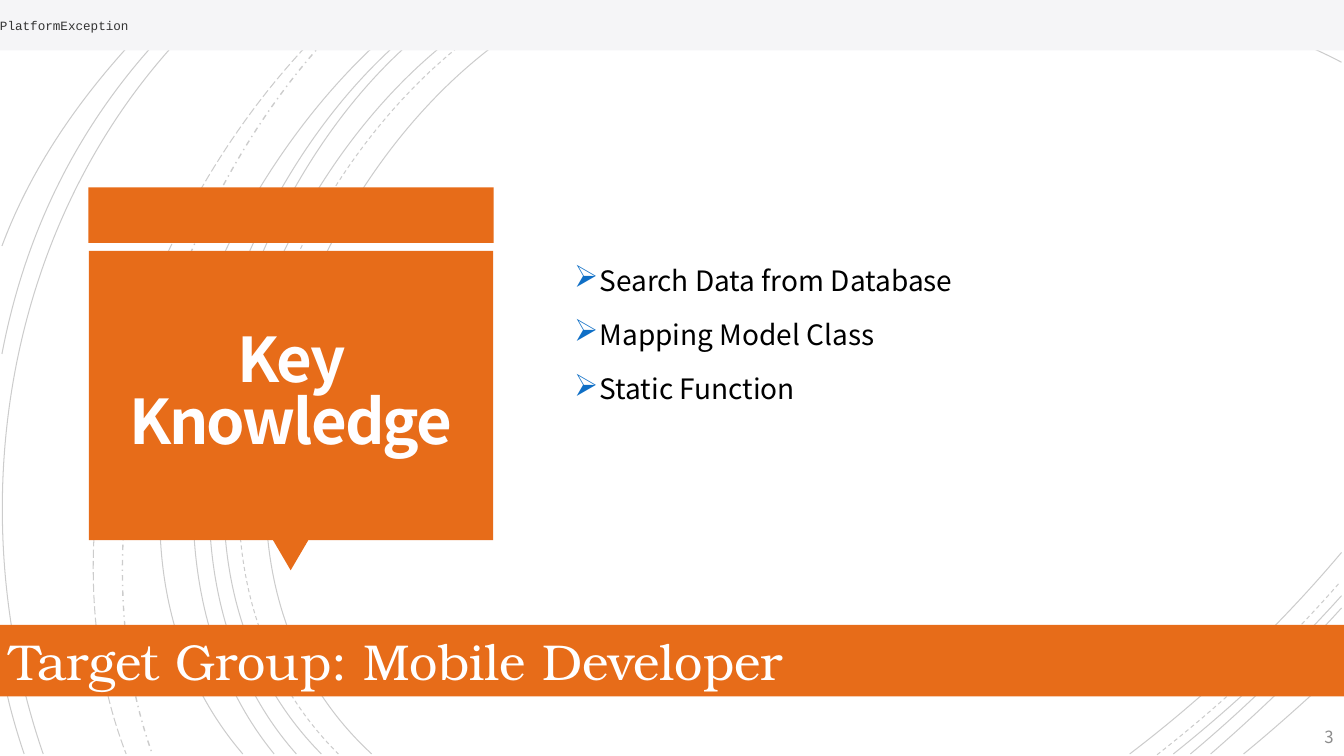
from lxml.etree import SubElement
from pptx import Presentation
from pptx.dml.color import RGBColor
from pptx.enum.dml import MSO_LINE as DASH
from pptx.enum.shapes import MSO_SHAPE as SHAPE
from pptx.enum.text import MSO_ANCHOR as ANCHOR, MSO_AUTO_SIZE as AUTO, PP_ALIGN as ALIGN
from pptx.oxml.ns import qn
from pptx.util import Cm, Pt

COLORS = {"orange": "E76C19", "band": "F5F5F7", "black": "000000", "white": "FFFFFF",
          "title": "FFFEFF", "bullet": "0F6FC6", "number": "8C8C8C", "code": "333333"}
SANS = "Noto Sans CJK JP"

prs = Presentation()
prs.slide_width, prs.slide_height = Cm(33.87), Cm(19.05)
s = prs.slides.add_slide(prs.slide_layouts[6])


def add_block(preset, box, color):
    sp = s.shapes.add_shape(preset, *map(Cm, box))
    sp.shadow.inherit = False
    sp.fill.solid()
    sp.fill.fore_color.rgb = RGBColor.from_string(COLORS[color])
    sp.line.fill.background()
    return sp


def write(sp, lines, font, color, frame, para):
    tf = sp.text_frame
    for name, value in frame.items():
        setattr(tf, name, value)
    for i, line in enumerate(lines):
        p = tf.paragraphs[0] if i == 0 else tf.add_paragraph()
        for name, value in para.items():
            if i or name != "space_before":
                setattr(p, name, value)
        r = p.add_run()
        r.text = line
        for name, value in font.items():
            setattr(r.font, name, value)
        r.font.color.rgb = RGBColor.from_string(COLORS[color])
    return tf


# Background arcs: start, two control points, end (cm)
SOLID, DASHED, LONG, DOT = DASH.SOLID, DASH.DASH, DASH.LONG_DASH, DASH.DASH_DOT
arcs = [
    (SOLID, (14.35, 0), (8, 2.92), (3.63, 13.72), (9.37, 19)),
    (SOLID, (33.81, 1.57), (32.46, 0.86), (30.94, 0.41), (29.51, 0.03)),
    (SOLID, (28.47, 19), (30.4, 17.53), (32.23, 15.8), (33.81, 13.92)),
    (DASHED, (13.34, 0), (7.24, 3.18), (3.12, 13.64), (8.53, 19)),
    (DASHED, (33.81, 1.04), (32.94, 0.64), (32, 0.3), (31.12, 0.03)),
    (DASHED, (29.16, 19.02), (30.81, 17.73), (32.39, 16.26), (33.78, 14.66)),
    (SOLID, (12.85, 0), (6.86, 3.23), (2.79, 13.64), (8.1, 19)),
    (SOLID, (33.81, 0.74), (33.2, 0.48), (32.59, 0.23), (31.95, 0.03)),
    (SOLID, (29.57, 19), (31.06, 17.81), (32.51, 16.46), (33.81, 15.01)),
    (SOLID, (11.79, 0), (6.2, 3.38), (2.79, 13.74), (7.47, 19)),
    (SOLID, (30, 19), (31.34, 17.88), (32.61, 16.64), (33.81, 15.32)),
    (SOLID, (11.46, 0), (5.87, 3.51), (2.46, 13.54), (6.91, 19)),
    (SOLID, (30.51, 19), (31.65, 18.01), (32.77, 16.94), (33.81, 15.82)),
    (SOLID, (10.85, 0), (5.51, 3.73), (1.35, 13.44), (6.12, 19)),
    (SOLID, (31.34, 19), (32.18, 18.31), (32.99, 17.58), (33.81, 16.81)),
    (DOT, (9.22, 0), (4.47, 4.22), (1.65, 12.93), (3.84, 19)),
    (LONG, (8.92, 0), (3.99, 4.29), (0.74, 12.67), (3.18, 19)),
    (SOLID, (5.51, 0), (0.28, 4.7), (-1.17, 12.45), (1.09, 19)),
    (SOLID, (4.95, 0.03), (2.34, 2.44), (0.71, 5.44), (0.05, 8.92)),
    (SOLID, (0.03, 16.71), (0.15, 17.5), (0.36, 18.26), (0.61, 19)),
    (SOLID, (4.37, 0), (2.54, 1.75), (0.94, 3.81), (0.05, 6.2)),
]
for dash, *points in arcs:
    start, *rest = [(Cm(x), Cm(y)) for x, y in points]
    builder = s.shapes.build_freeform(*start)
    builder.add_line_segments(rest, close=False)
    arc = builder.convert_to_shape()
    arc.shadow.inherit = False
    arc.fill.background()
    arc.line.width = Pt(1 if dash == DOT else 0.75)
    arc.line.dash_style = dash
    arc.line.color.rgb = RGBColor.from_string(COLORS["black"])
    color = next(arc.line._ln.iter(qn("a:srgbClr")))
    SubElement(color, qn("a:alpha"), val="20000")
    # Turn the three segments into one Bézier curve
    outline = next(arc._element.iter(qn("a:path")))
    curve = SubElement(outline, qn("a:cubicBezTo"))
    for segment in outline.findall(qn("a:lnTo")):
        curve.append(segment[0])
        outline.remove(segment)

# Title callout
add_block(SHAPE.RECTANGLE, (2.23, 4.72, 10.21, 1.4), "orange")
add_block(SHAPE.ISOSCELES_TRIANGLE, (6.88, 13.61, 0.89, 0.76), "orange").rotation = 180
add_block(SHAPE.RECTANGLE, (2.24, 6.32, 10.19, 7.29), "orange")
title = s.shapes.add_textbox(Cm(2.46), Cm(6.53), Cm(9.73), Cm(6.83))
margins = ("margin_left", "margin_top", "margin_right", "margin_bottom")
tf = write(title, ["Key Knowledge"], {"size": Pt(44), "name": SANS, "bold": True}, "title",
           {"word_wrap": True, "vertical_anchor": ANCHOR.MIDDLE, **dict.fromkeys(margins, Cm(0.64))},
           {"alignment": ALIGN.CENTER, "line_spacing": 0.85})
tf.paragraphs[0].runs[0].font._element.set("spc", "-150")

# Topic list
topics = s.shapes.add_textbox(Cm(14.22), Cm(2.24), Cm(19.66), Cm(14.58))
tf = write(topics, ["Search Data from Database", "Mapping Model Class", "Static Function"],
           {"size": Pt(20), "name": SANS}, "black",
           {"word_wrap": True, "vertical_anchor": ANCHOR.MIDDLE, "margin_bottom": Cm(2.5)},
           {"line_spacing": 1.2, "space_before": Pt(10)})
for p in tf.paragraphs:
    pPr = p._p.get_or_add_pPr()
    pPr.set("marL", str(Cm(0.64)))
    pPr.set("indent", str(-Cm(0.64)))
    SubElement(SubElement(pPr, qn("a:buClr")), qn("a:srgbClr"), val=COLORS["bullet"])
    SubElement(pPr, qn("a:buSzPct"), val="110000")
    SubElement(pPr, qn("a:buChar"), char="➢")

# Slide number
number = s.shapes.add_textbox(Cm(31.32), Cm(18.11), Cm(2.54), Cm(0.89))
write(number, ["3"], {"size": Pt(12), "name": SANS}, "number",
      {"word_wrap": True, "vertical_anchor": ANCHOR.MIDDLE}, {"alignment": ALIGN.RIGHT})

# Target group bar
bar = add_block(SHAPE.RECTANGLE, (0, 15.75, 33.87, 1.8), "orange")
write(bar, ["Target Group: Mobile Developer"], {"size": Pt(36), "name": "TeX Gyre Bonum"}, "white",
      {"word_wrap": True, "vertical_anchor": ANCHOR.TOP, "auto_size": AUTO.SHAPE_TO_FIT_TEXT},
      {"alignment": ALIGN.LEFT})

# Top band
band = add_block(SHAPE.RECTANGLE, (0, 0, 33.87, 1.27), "band")
write(band, ["PlatformException"], {"size": Pt(9), "name": "Courier New"}, "code",
      {"word_wrap": False, "vertical_anchor": ANCHOR.MIDDLE, "auto_size": AUTO.SHAPE_TO_FIT_TEXT,
       **dict.fromkeys(margins, 0)},
      {"alignment": ALIGN.LEFT})

prs.save("out.pptx")
